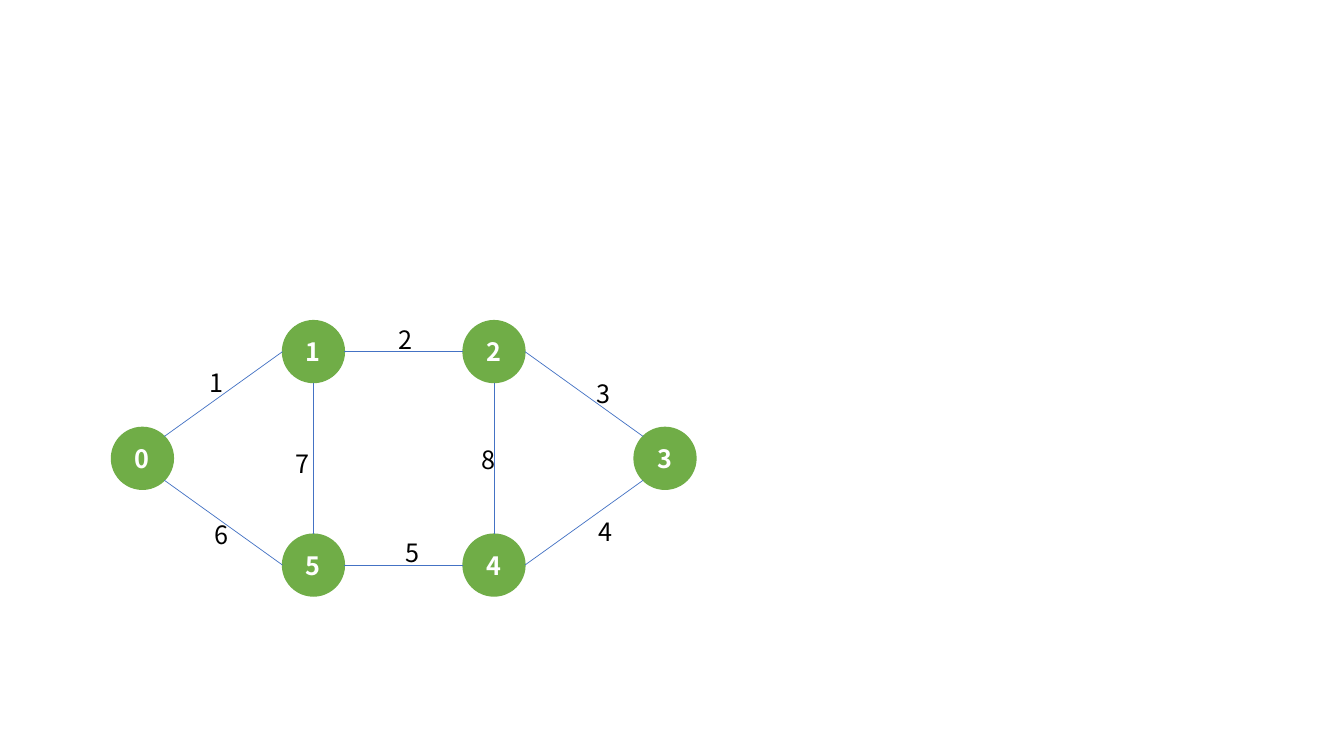
import math
import pptx
import pptx.dml.color
import pptx.enum.shapes
import pptx.enum.text
import pptx.oxml.ns
import pptx.util
from pptx.util import Cm

GREEN = pptx.dml.color.RGBColor(0x70, 0xAD, 0x47)
BLUE = pptx.dml.color.RGBColor(0x44, 0x72, 0xC4)
WHITE = pptx.dml.color.RGBColor(0xFF, 0xFF, 0xFF)
BLACK = pptx.dml.color.RGBColor(0x00, 0x00, 0x00)


class Graph:
    font = "Noto Sans CJK SC"
    size = pptx.util.Pt(18)
    radius = 0.78

    def __init__(self, slide):
        self.shapes = slide.shapes

    def letter(self, frame, text, color, bold=False):
        para = frame.paragraphs[0]
        para.text = text
        para.font.name = self.font
        para.font.size = self.size
        para.font.bold = bold
        para.font.color.rgb = color
        return para

    def node(self, name, x, y):
        r = self.radius
        disc = self.shapes.add_shape(
            pptx.enum.shapes.MSO_SHAPE.OVAL,
            Cm(x - r), Cm(y - r), Cm(2 * r), Cm(2 * r))
        disc.shadow.inherit = False
        disc.fill.solid()
        disc.fill.fore_color.rgb = GREEN
        disc.line.color.rgb = GREEN
        disc.line.width = pptx.util.Pt(1)
        disc.text_frame.vertical_anchor = pptx.enum.text.MSO_ANCHOR.MIDDLE
        para = self.letter(disc.text_frame, name, WHITE, True)
        para.alignment = pptx.enum.text.PP_ALIGN.CENTER

    def rim(self, center, angle):
        turn = math.radians(angle)
        return (Cm(center[0] + self.radius * math.cos(turn)),
                Cm(center[1] + self.radius * math.sin(turn)))

    def edge(self, start, leave, end, enter):
        line = self.shapes.add_connector(
            pptx.enum.shapes.MSO_CONNECTOR.STRAIGHT,
            *self.rim(start, leave), *self.rim(end, enter))
        line.line.color.rgb = BLUE
        line.line.width = pptx.util.Pt(0.5)
        props = line._element.spPr
        props.append(props.makeelement(pptx.oxml.ns.qn("a:effectLst"), {}))

    def label(self, text, x, y):
        box = self.shapes.add_textbox(Cm(x), Cm(y), Cm(0.86), Cm(1.02))
        box.text_frame.word_wrap = False
        box.text_frame.auto_size = pptx.enum.text.MSO_AUTO_SIZE.SHAPE_TO_FIT_TEXT
        self.letter(box.text_frame, text, BLACK)


deck = pptx.Presentation()
deck.slide_width, deck.slide_height = Cm(33.87), Cm(19.05)
graph = Graph(deck.slides.add_slide(deck.slide_layouts[6]))

# Nodes: centers on four columns and three rows
COLS = (3.59, 7.9, 12.45, 16.76)
ROWS = [8.86 + 2.69 * row for row in range(3)]
PLACES = ((0, 1), (1, 0), (2, 0), (3, 1), (2, 2), (1, 2))
nodes = [(COLS[col], ROWS[row]) for col, row in PLACES]
for name in (2, 1, 0, 3, 4, 5):
    graph.node(str(name), *nodes[name])

# Edges: node and rim angle at both ends, clockwise from the right
EAST, SOUTH, WEST, NORTH = 0, 90, 180, 270
EDGES = (
    (0, 315, 1, WEST), (1, EAST, 2, WEST), (2, EAST, 3, 225),
    (3, 135, 4, EAST), (4, WEST, 5, EAST), (0, 45, 5, WEST),
    (1, SOUTH, 5, NORTH), (2, SOUTH, 4, NORTH),
)
for start, leave, end, enter in EDGES:
    graph.edge(nodes[start], leave, nodes[end], enter)

# Edge labels, numbered in edge order
SPOTS = ((5.03, 9.12), (9.8, 8.05), (14.78, 9.4), (14.83, 12.88),
         (9.96, 13.41), (5.16, 12.95), (7.19, 11.18), (11.89, 11.07))
for count, spot in enumerate(SPOTS, 1):
    graph.label(str(count), *spot)

deck.save("out.pptx")
